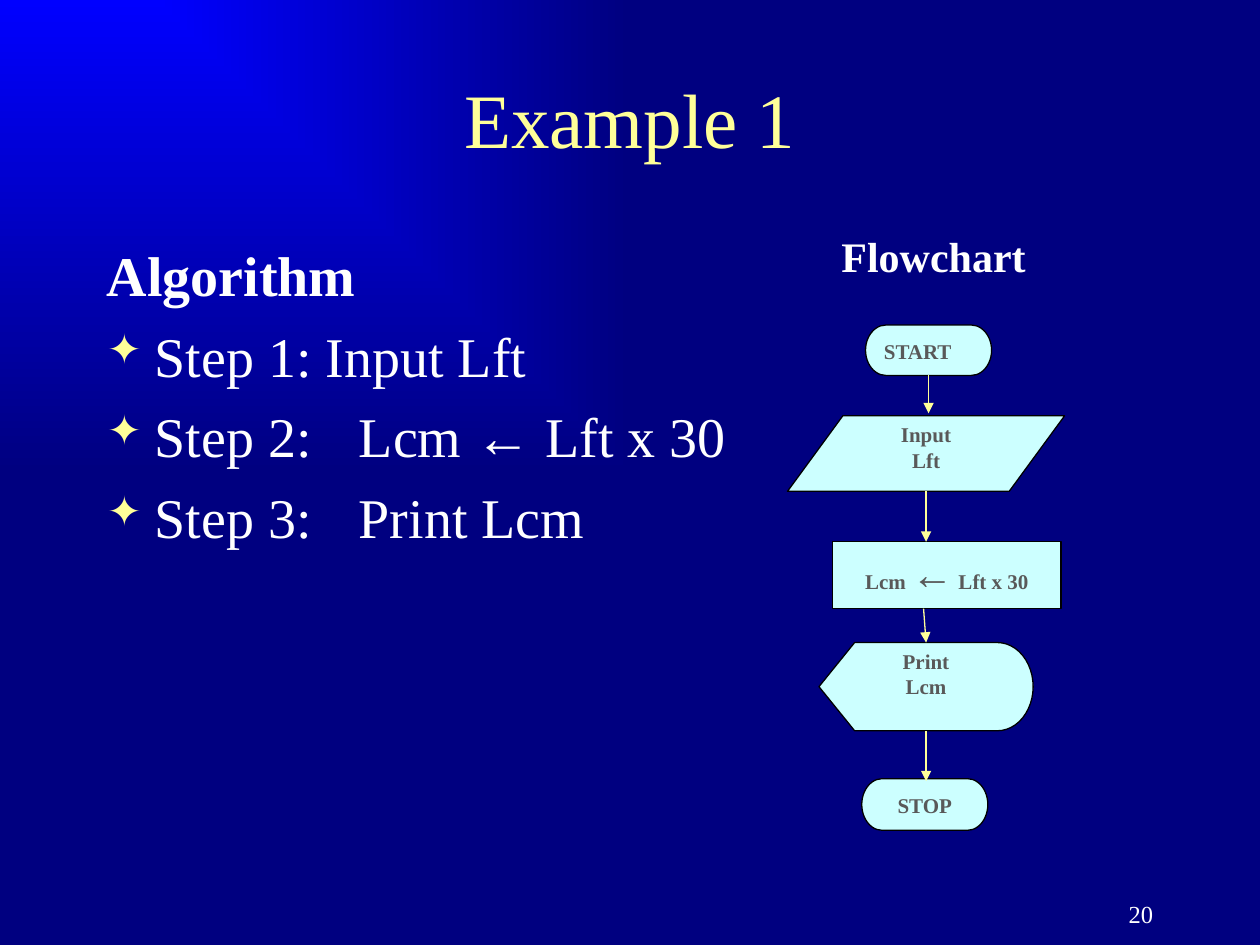
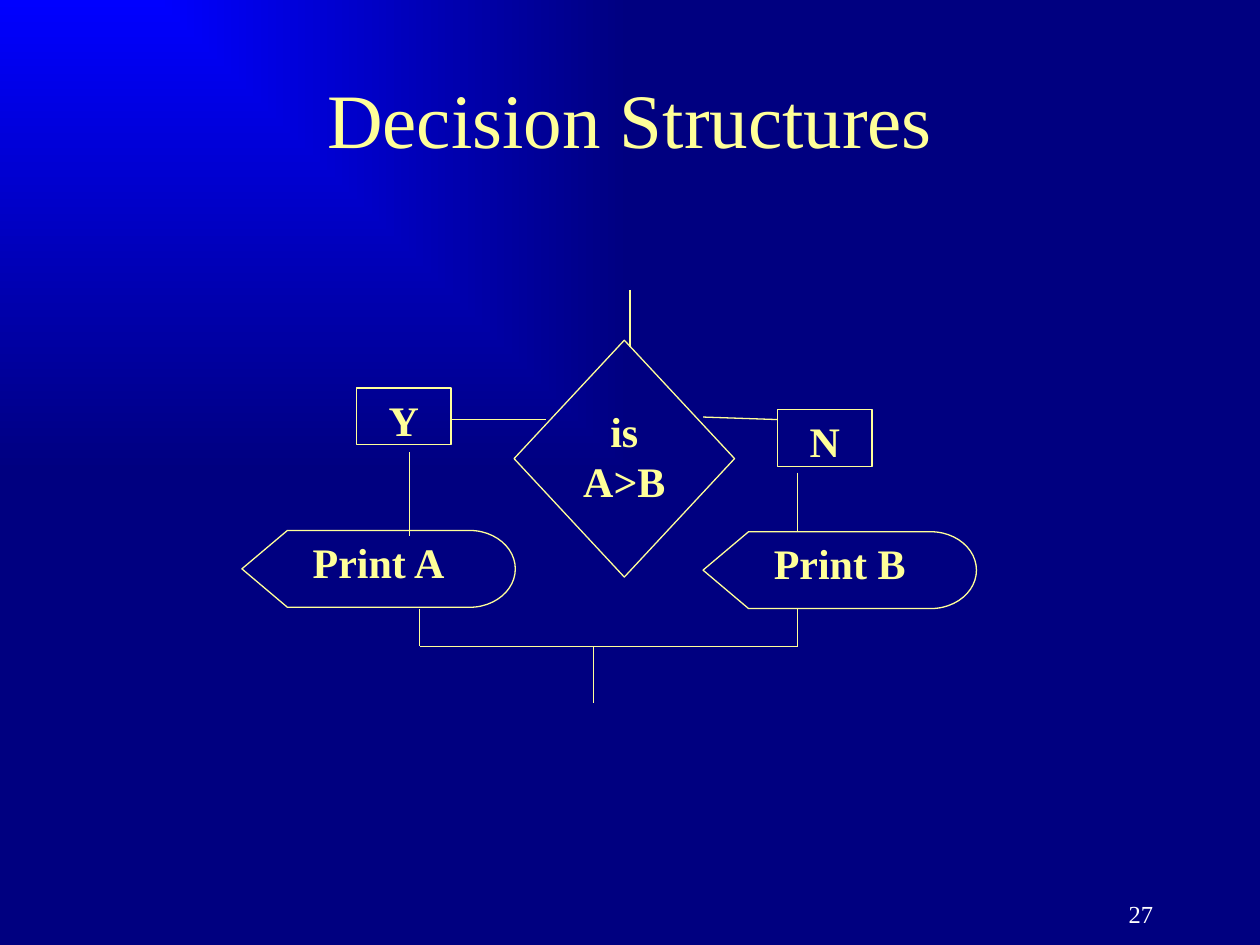
from dataclasses import dataclass
from lxml.etree import SubElement
from pptx import Presentation
from pptx.dml.color import RGBColor
from pptx.enum.shapes import MSO_CONNECTOR, MSO_SHAPE
from pptx.enum.text import MSO_ANCHOR, PP_ALIGN
from pptx.oxml.ns import qn
from pptx.util import Inches, Pt


@dataclass(frozen=True)
class Theme:
    font: str = "Times New Roman"
    glow: str = "0000FF"
    navy: str = "000080"
    yellow: str = "FFFF99"
    white: str = "FFFFFF"
    node: str = "CCFFFF"
    black: str = "000000"
    gray: str = "595959"
    title: int = 44
    body: int = 32
    label: int = 24
    number: int = 14
    node_text: int = 12
    line: float = 0.75


T = Theme()
LEFT, CENTER, RIGHT = PP_ALIGN.LEFT, PP_ALIGN.CENTER, PP_ALIGN.RIGHT
ARROW = "←"

# Content: Example 1
STEPS = ["Algorithm", "Step 1: Input Lft", "Step 2: \tLcm ← Lft x 30", "Step 3: \tPrint Lcm"]
FLOW_NODES = [  # shape, text, box, alignment
    (MSO_SHAPE.FLOWCHART_TERMINATOR, "START", (6.87, 2.58, 1, 0.4), LEFT),
    (MSO_SHAPE.FLOWCHART_DATA, "Input\nLft", (6.25, 3.3, 2.2, 0.6), CENTER),
    (MSO_SHAPE.FLOWCHART_PROCESS, "Lcm ← Lft x 30", (6.61, 4.3, 1.81, 0.53), CENTER),
    (MSO_SHAPE.FLOWCHART_DISPLAY, "Print\nLcm", (6.5, 5.1, 1.7, 0.7), CENTER),
    (MSO_SHAPE.FLOWCHART_TERMINATOR, "STOP", (6.84, 6.18, 1, 0.41), CENTER),
]
FLOW_ARROWS = [
    (7.37, 2.98, 7.37, 3.28),
    (7.35, 3.9, 7.35, 4.3),
    (7.33, 4.83, 7.35, 5.1),
    (7.35, 5.8, 7.35, 6.2),
]

# Content: Decision Structures
DECISION_NODES = [
    (MSO_SHAPE.FLOWCHART_DECISION, "is\nA>B", (4.08, 2.7, 1.75, 1.88)),
    (MSO_SHAPE.FLOWCHART_DISPLAY, "Print B", (5.58, 4.22, 2.17, 0.61)),
    (MSO_SHAPE.FLOWCHART_DISPLAY, "Print A", (1.92, 4.21, 2.17, 0.61)),
    (MSO_SHAPE.RECTANGLE, "Y", (2.83, 3.08, 0.75, 0.45)),
    (MSO_SHAPE.RECTANGLE, "N", (6.17, 3.25, 0.75, 0.45)),
]
DECISION_LINES = [
    (5, 2.3, 5, 2.75),           # entry
    (3.58, 3.33, 4.33, 3.33),    # decision to Y
    (5.58, 3.31, 6.17, 3.33),    # decision to N
    (3.25, 3.59, 3.25, 4.25),    # Y to Print A
    (6.33, 3.75, 6.33, 4.22),    # N to Print B
    (3.33, 4.83, 3.33, 5.13),    # branches join
    (3.33, 5.13, 6.33, 5.13),
    (6.33, 5.13, 6.33, 4.83),
    (4.71, 5.13, 4.71, 5.58),    # exit
]


def color(value):
    return RGBColor.from_string(value)


def write(sp, text, size, rgb, align=LEFT, bold=False, anchor=MSO_ANCHOR.TOP):
    tf = sp.text_frame
    tf.word_wrap = True
    tf.vertical_anchor = anchor
    tf.text = text
    for p in tf.paragraphs:
        p.alignment = align
        for r in p.runs:
            style(r, size, rgb, bold)
    return tf


def style(r, size, rgb, bold):
    r.font.name, r.font.size, r.font.bold = T.font, Pt(size), bold
    r.font.color.rgb = color(rgb)


def add_text(s, box, *args, **kwargs):
    return write(s.shapes.add_textbox(*map(Inches, box)), *args, **kwargs)


def add_node(s, kind, box, line, fill=None):
    sp = s.shapes.add_shape(kind, *map(Inches, box))
    sp.shadow.inherit = False
    if fill:
        sp.fill.solid()
        sp.fill.fore_color.rgb = color(fill)
    else:
        sp.fill.background()
    sp.line.color.rgb = color(line)
    sp.line.width = Pt(T.line)
    return sp


def add_line(s, ends, arrow=False):
    c = s.shapes.add_connector(MSO_CONNECTOR.STRAIGHT, *map(Inches, ends))
    c.line.color.rgb = color(T.yellow)
    c.line.width = Pt(T.line)
    if arrow:
        SubElement(c.line._get_or_add_ln(), qn("a:tailEnd"), type="triangle")
    SubElement(c._element.spPr, qn("a:effectLst"))


def add_bullet(p):
    pPr = p._p.get_or_add_pPr()
    pPr.set("marL", str(Inches(0.38)))
    pPr.set("indent", str(Inches(-0.38)))
    clr = SubElement(pPr, qn("a:buClr"))
    SubElement(clr, qn("a:srgbClr"), val=T.yellow)
    SubElement(pPr, qn("a:buSzPct"), val="75000")
    SubElement(pPr, qn("a:buChar"), char="✦")


def add_slide(prs, title, number):
    """Slide with the shared corner glow, title and page number."""
    s = prs.slides.add_slide(prs.slide_layouts[6])
    fill = s.background.fill
    fill.gradient()
    for stop, rgb, position in zip(fill.gradient_stops, (T.glow, T.navy), (0, 1)):
        stop.color.rgb = color(rgb)
        stop.position = position
    grad = s._element.find(".//" + qn("a:gradFill"))
    grad.remove(grad.find(qn("a:lin")))
    rect = SubElement(grad, qn("a:path"), path="rect")
    SubElement(rect, qn("a:fillToRect"), r="100000", b="100000")
    add_text(s, (0.75, 0.31, 8.5, 1.25), title, T.title, T.yellow, CENTER,
             anchor=MSO_ANCHOR.MIDDLE)
    add_text(s, (7.17, 7, 2.08, 0.5), number, T.number, T.white, RIGHT,
             anchor=MSO_ANCHOR.MIDDLE)
    return s


def build_example(prs):
    s = add_slide(prs, "Example 1", "20")
    # Algorithm steps
    tf = add_text(s, (0.75, 1.86, 8.5, 4.45), "\n".join(STEPS), T.body, T.white)
    heading, *steps = tf.paragraphs
    heading.runs[0].font.bold = True
    for p in steps:
        add_bullet(p)
        p.space_before = Pt(7.7)
    # Flowchart
    add_text(s, (6.58, 1.78, 2.42, 0.5), "Flowchart", T.label, T.white, bold=True)
    for kind, text, box, align in FLOW_NODES:
        sp = add_node(s, kind, box, T.black, T.node)
        before, arrow, after = text.partition(ARROW)
        tf = write(sp, before, T.node_text, T.gray, align, True)
        if arrow:
            p = tf.paragraphs[0]
            for part, size, bold in ((arrow, T.label, False), (after, T.node_text, True)):
                r = p.add_run()
                r.text = part
                style(r, size, T.gray, bold)
    for ends in FLOW_ARROWS:
        add_line(s, ends, arrow=True)


def build_decision(prs):
    s = add_slide(prs, "Decision Structures", "27")
    for kind, text, box in DECISION_NODES:
        write(add_node(s, kind, box, T.yellow), text, T.label, T.yellow, CENTER, True)
    for ends in DECISION_LINES:
        add_line(s, ends)


def main():
    prs = Presentation()
    prs.slide_width, prs.slide_height = Inches(10), Inches(7.5)
    build_example(prs)
    build_decision(prs)
    prs.save("out.pptx")


if __name__ == "__main__":
    main()
